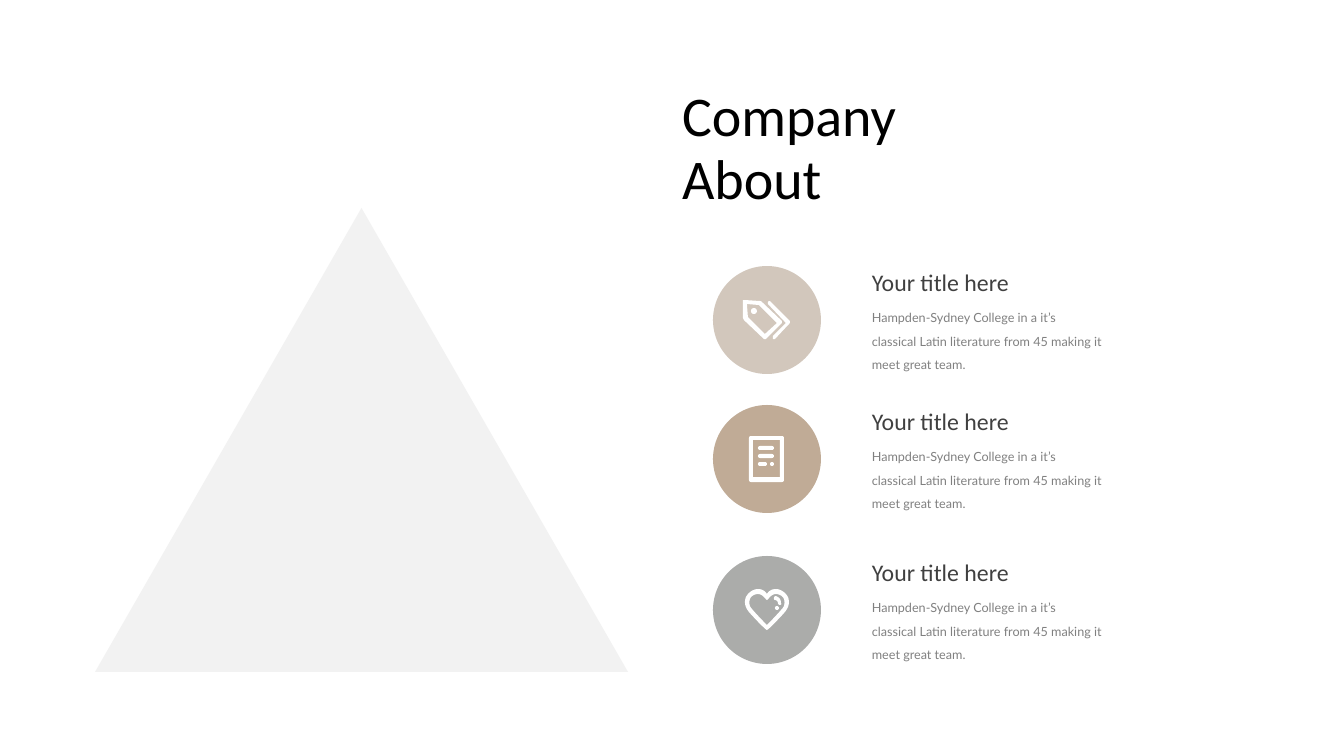
import math
from dataclasses import dataclass
from pptx import Presentation
from pptx import util as u
from pptx.dml.color import RGBColor
from pptx.enum import shapes, text


@dataclass(frozen=True)
class Theme:
    head: str = "Calibri"
    body: str = "Lato"
    black: str = "000000"
    dark: str = "404040"
    gray: str = "808080"
    pale: str = "F2F2F2"
    white: str = "FFFFFF"
    big: int = 40
    mid: int = 17
    small: int = 9
    big_gap: int = 45
    small_gap: int = 17


LOOK = Theme()
SCALE = 914400 / 100.8
SIZE = (1344, 756)
TITLE = ["Company", "About"]
TITLE_BOX = (672, 80, 442, 137)
PEAK_BOX = (95, 208, 533, 464)
LABEL = ["Your title here"]
NOTE = [
    "Hampden-Sydney College in a it’s",
    "classical Latin literature from 45 making it meet great team.",
]
DISC_LEFT, DISC = 713, 108
TEXT_LEFT, TEXT_WIDTH = 862, 262
LABEL_DROP, LABEL_HIGH = -3, 39
NOTE_DROP, NOTE_HIGH = 30, 79
TAG = [
    [(69, 55), (48, 35), (47, 35), (32, 34), (30, 34), (30, 36), (30, 52),
     (31, 54), (51, 73), (53, 73), (68, 58), (69, 57)],
    [(52, 68), (35, 51), (34, 38), (46, 39), (64, 57)],
    [(77, 57), (62, 73), (60, 73), (60, 70), (73, 57), (55, 38), (55, 36),
     (56, 35), (57, 35), (77, 55)],
]
HEART = [
    [(54, 38), (55, 36), (58, 33), (63, 33), (68, 33), (73, 37), (75, 41),
     (77, 46), (76, 51), (72, 56), (63, 66), (55, 74), (54, 74)],
    [(54, 44), (55, 44), (58, 38), (63, 38), (66, 38), (70, 40), (71, 43),
     (72, 46), (72, 50), (69, 53), (62, 61), (56, 67), (54, 69)],
]
GLINT = [(68, 47), (69, 48), (68, 49), (67, 49), (66, 49), (65, 48), (65, 47),
         (65, 45), (63, 44), (62, 44), (61, 44), (61, 43), (61, 42),
         (61, 41), (62, 40), (63, 40), (65, 41), (68, 42), (68, 47)]


def px(num):
    return u.Emu(round(num * SCALE))


def curve(pts, steps=8):
    out = [pts[0]]
    for k in range(0, len(pts) - 1, 3):
        a, b, c, d = pts[k:k + 4]
        for n in range(1, steps + 1):
            t = n / steps
            s = 1 - t
            out.append(tuple(
                s**3 * a[i] + 3 * s * s * t * b[i] + 3 * s * t * t * c[i] + t**3 * d[i]
                for i in (0, 1)))
    return out


def mirror(pts):
    half = curve(pts)
    return half + [(DISC - x, y) for x, y in reversed(half)]


def pill(left, top, wide, high, rad=2):
    mids = [(left + wide - rad, top + high - rad), (left + rad, top + high - rad),
            (left + rad, top + rad), (left + wide - rad, top + rad)]
    return [(x + rad * math.cos(math.pi * (k / 2 + n / 8)),
             y + rad * math.sin(math.pi * (k / 2 + n / 8)))
            for k, (x, y) in enumerate(mids) for n in range(5)]


PAGE = [pill(36, 31, 35, 46), pill(40, 35, 27, 37, 0),
        *(pill(45, y, w, 4) for y, w in ((41, 16), (49, 16), (57, 9))),
        pill(57, 57, 4, 4)]
ITEMS = [
    (266, "D2C7BC", TAG + [pill(38, 42, 6, 6, 3)]),
    (405, "C0AB96", PAGE),
    (556, "ABACAA", [mirror(half) for half in HEART] + [curve(GLINT), pill(62, 50, 4, 4)]),
]


def paint(shape, color):
    shape.fill.solid()
    shape.fill.fore_color.rgb = RGBColor.from_string(color)
    shape.line.fill.background()
    shape.shadow.inherit = False


def shape(home, kind, box, color):
    paint(home.add_shape(kind, *map(px, box)), color)


def icon(home, left, top, loops):
    rings = [[(px(left + x), px(top + y)) for x, y in loop] for loop in loops]
    pen = home.build_freeform(*rings[0][0], scale=1.0)
    for k, ring in enumerate(rings):
        if k:
            pen.move_to(*ring[0])
        pen.add_line_segments(ring[1:], close=True)
    paint(pen.convert_to_shape(), LOOK.white)


def write(frame, lines, face, size, color, gap=None):
    frame.word_wrap = True
    frame.auto_size = text.MSO_AUTO_SIZE.NONE
    frame.vertical_anchor = text.MSO_ANCHOR.TOP
    frame.text = "\n".join(lines)
    for para in frame.paragraphs:
        para.alignment = text.PP_ALIGN.LEFT
        para.space_before = u.Pt(0)
        if gap:
            para.line_spacing = u.Pt(gap)
        para.font.name = face
        para.font.size = u.Pt(size)
        para.font.color.rgb = RGBColor.from_string(color)


def label(home, box, *style):
    write(home.add_textbox(*map(px, box)).text_frame, *style)


def main():
    deck = Presentation()
    deck.slide_width, deck.slide_height = map(px, SIZE)
    slide = deck.slides.add_slide(deck.slide_layouts[5])
    title = slide.shapes.title
    title.left, title.top, title.width, title.height = map(px, TITLE_BOX)
    write(title.text_frame, TITLE, LOOK.head, LOOK.big, LOOK.black, LOOK.big_gap)
    shape(slide.shapes, shapes.MSO_SHAPE.ISOSCELES_TRIANGLE, PEAK_BOX, LOOK.pale)
    for top, color, loops in ITEMS:
        home = slide.shapes.add_group_shape().shapes
        shape(home, shapes.MSO_SHAPE.OVAL, (DISC_LEFT, top, DISC, DISC), color)
        icon(home, DISC_LEFT, top, loops)
        label(home, (TEXT_LEFT, top + LABEL_DROP, TEXT_WIDTH, LABEL_HIGH),
              LABEL, LOOK.head, LOOK.mid, LOOK.dark)
        label(home, (TEXT_LEFT, top + NOTE_DROP, TEXT_WIDTH, NOTE_HIGH),
              NOTE, LOOK.body, LOOK.small, LOOK.gray, LOOK.small_gap)
    deck.save("out.pptx")


if __name__ == "__main__":
    main()
